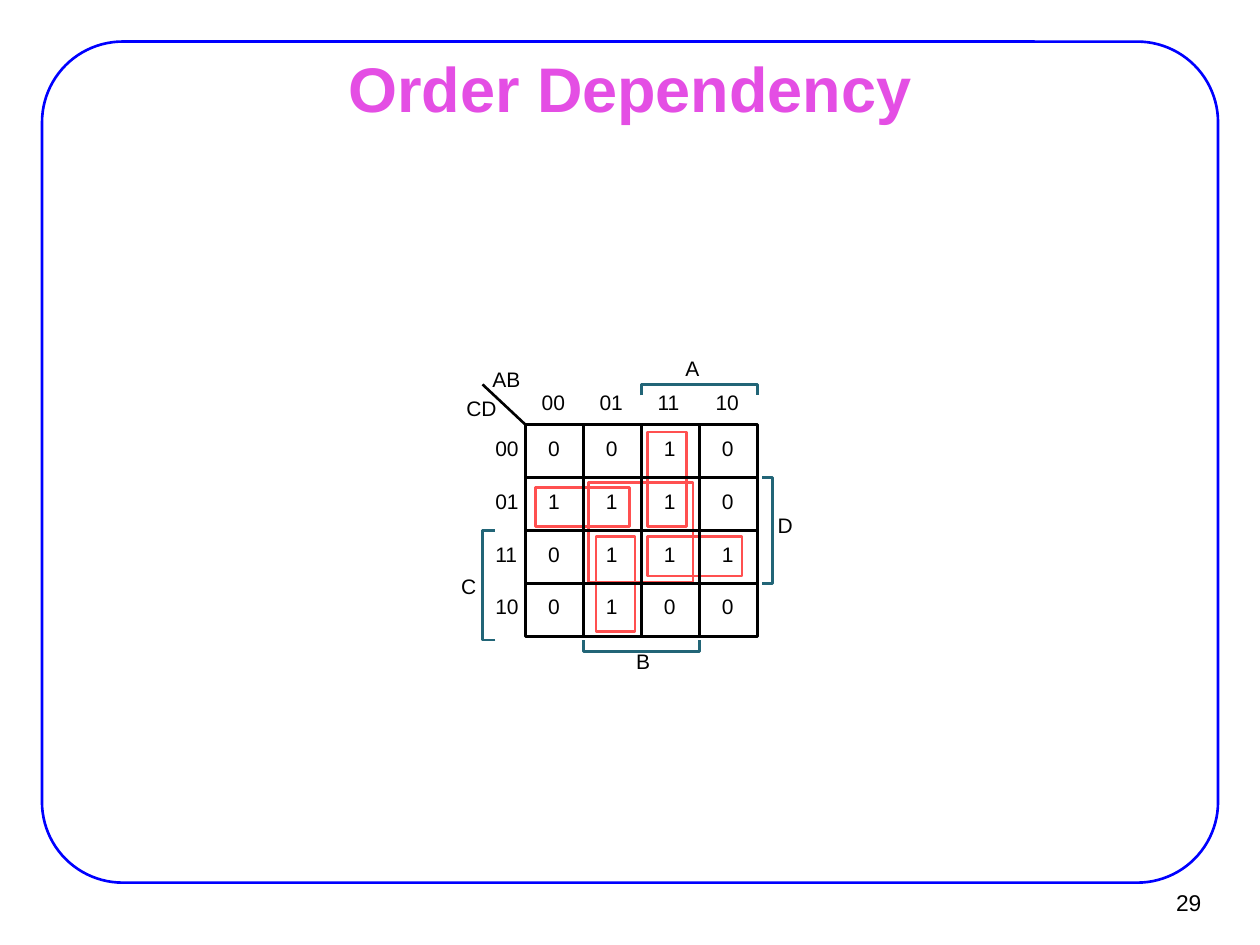
"""Build the Order Dependency slide: a four-variable Karnaugh map with its groups."""
import pptx
import pptx.dml.color
import pptx.enum.shapes
import pptx.enum.text
import pptx.util
from lxml import etree

BLACK = pptx.dml.color.RGBColor(0x00, 0x00, 0x00)
BLUE = pptx.dml.color.RGBColor(0x00, 0x00, 0xFF)
PINK = pptx.dml.color.RGBColor(0xE4, 0x4E, 0xE4)
RED = pptx.dml.color.RGBColor(0xFF, 0x50, 0x50)
TEAL = pptx.dml.color.RGBColor(0x22, 0x65, 0x77)
RECTANGLE = pptx.enum.shapes.MSO_SHAPE.RECTANGLE
ROUNDED = pptx.enum.shapes.MSO_SHAPE.ROUNDED_RECTANGLE
STRAIGHT = pptx.enum.shapes.MSO_CONNECTOR.STRAIGHT
ALIGN = pptx.enum.text.PP_ALIGN
ANCHOR = pptx.enum.text.MSO_ANCHOR
DRAWING = "http://schemas.openxmlformats.org/drawingml/2006/main"

COLUMN = pptx.util.Inches(0.46)
ROW = pptx.util.Inches(0.42)
MAP_LEFT = pptx.util.Inches(4.17)
MAP_TOP = pptx.util.Inches(3.37)
SIZE = 4
CODES = ["00", "01", "11", "10"]
CELLS = ["0010", "1110", "0111", "0100"]
CODE_X, VALUE_X, VALUE_Y = 0.28, 0.39, 0.2

presentation = pptx.Presentation()
presentation.slide_width = pptx.util.Inches(10)
presentation.slide_height = pptx.util.Inches(7.5)
slide = presentation.slides.add_slide(presentation.slide_layouts[6])
shapes = slide.shapes
width, height = presentation.slide_width, presentation.slide_height


def add_text(text, left, top, box_width, box_height, size, color, align, margin=0, bold=False):
    box = shapes.add_textbox(int(left), int(top), int(box_width), int(box_height))
    frame = box.text_frame
    frame.word_wrap = False
    frame.vertical_anchor = ANCHOR.MIDDLE if margin else ANCHOR.TOP
    frame.margin_left = frame.margin_right = pptx.util.Inches(margin)
    frame.margin_top = frame.margin_bottom = pptx.util.Inches(margin / 2)
    paragraph = frame.paragraphs[0]
    paragraph.text = text
    paragraph.alignment = align
    paragraph.font.name = "Arial"
    paragraph.font.size = pptx.util.Pt(size)
    paragraph.font.bold = bold
    paragraph.font.color.rgb = color


def add_outline(preset, left, top, outline_width, outline_height, color):
    outline = shapes.add_shape(preset, int(left), int(top), int(outline_width), int(outline_height))
    outline.shadow.inherit = False
    outline.fill.background()
    outline.line.color.rgb = color
    outline.line.width = pptx.util.Pt(1.5)
    return outline


border = add_outline(ROUNDED, width / 30, height * 0.044, width * 14 / 15, height * 0.89, BLUE)
border.adjustments[0] = 0.096
add_text("29", width * 0.9, height * 0.93, width * 0.0625, height * 0.05, 13, BLACK, ALIGN.RIGHT, 0.09)
add_text("Order Dependency", width * 0.075, height * 0.06, width * 0.85, height * 0.065,
         36, PINK, ALIGN.CENTER, 0.11, True)

pair_groups = [(0.17, 1.19, 1.63, 0.74), (2.11, 2.12, 1.63, 0.74),
               (1.22, 2.12, 0.67, 1.79), (2.11, 0.14, 0.67, 1.79)]
quad_group = (1.09, 1.1, 1.8, 1.88)
for column, row, columns, rows in pair_groups + [quad_group]:
    add_outline(RECTANGLE, MAP_LEFT + column * COLUMN, MAP_TOP + row * ROW,
                columns * COLUMN, rows * ROW, RED)

map_frame = add_outline(RECTANGLE, MAP_LEFT, MAP_TOP, SIZE * COLUMN, SIZE * ROW, BLACK)

row_lines = [(0, edge, SIZE, edge) for edge in range(1, SIZE)]
column_lines = [(edge, 0, edge, SIZE) for edge in range(1, SIZE)]
axis_divider = (0, 0, -0.74, -0.76)
for x1, y1, x2, y2 in row_lines + column_lines + [axis_divider]:
    rule = shapes.add_connector(STRAIGHT, int(MAP_LEFT + x1 * COLUMN), int(MAP_TOP + y1 * ROW),
                                int(MAP_LEFT + x2 * COLUMN), int(MAP_TOP + y2 * ROW))
    rule.line.color.rgb = BLACK
    rule.line.width = pptx.util.Pt(1.5)
    etree.SubElement(rule._element.spPr, f"{{{DRAWING}}}effectLst")
    if y1 == y2 == SIZE / 2:
        rule.begin_connect(map_frame, 1)
        rule.end_connect(map_frame, 3)
    if x1 == x2 == SIZE / 2:
        rule.begin_connect(map_frame, 0)
        rule.end_connect(map_frame, 2)

variable_brackets = [
    [(2, -0.55), (2, -0.76), (4, -0.76), (4, -0.55)],
    [(-0.52, 4.07), (-0.74, 4.07), (-0.74, 2), (-0.52, 2)],
    [(3, 4.07), (3, 4.29), (1, 4.29), (1, 4.07)],
    [(4.09, 1), (4.26, 1), (4.26, 3), (4.09, 3)],
]
for corners in variable_brackets:
    points = [(int(MAP_LEFT + x * COLUMN), int(MAP_TOP + y * ROW)) for x, y in corners]
    builder = shapes.build_freeform(*points[0])
    builder.add_line_segments(points[1:], close=False)
    bracket = builder.convert_to_shape()
    bracket.shadow.inherit = False
    bracket.fill.background()
    bracket.line.color.rgb = TEAL
    bracket.line.width = pptx.util.Pt(1.5)

labels = [("AB", -0.57, -1.1), ("CD", -1.02, -0.55), ("A", 2.76, -1.31),
          ("B", 1.91, 4.24), ("C", -1.11, 2.81), ("D", 4.35, 1.67)]
for index, code in enumerate(CODES):
    labels.append((code, index + CODE_X, -0.66))
    labels.append((code, -0.52, index + VALUE_Y))
    for column, value in enumerate(CELLS[index]):
        labels.append((value, column + VALUE_X, index + VALUE_Y))
for text, column, row in labels:
    add_text(text, MAP_LEFT + column * COLUMN, MAP_TOP + row * ROW,
             (0.15 + 0.25 * len(text)) * COLUMN, ROW / 2, 12, BLACK, ALIGN.LEFT)

presentation.save("out.pptx")
